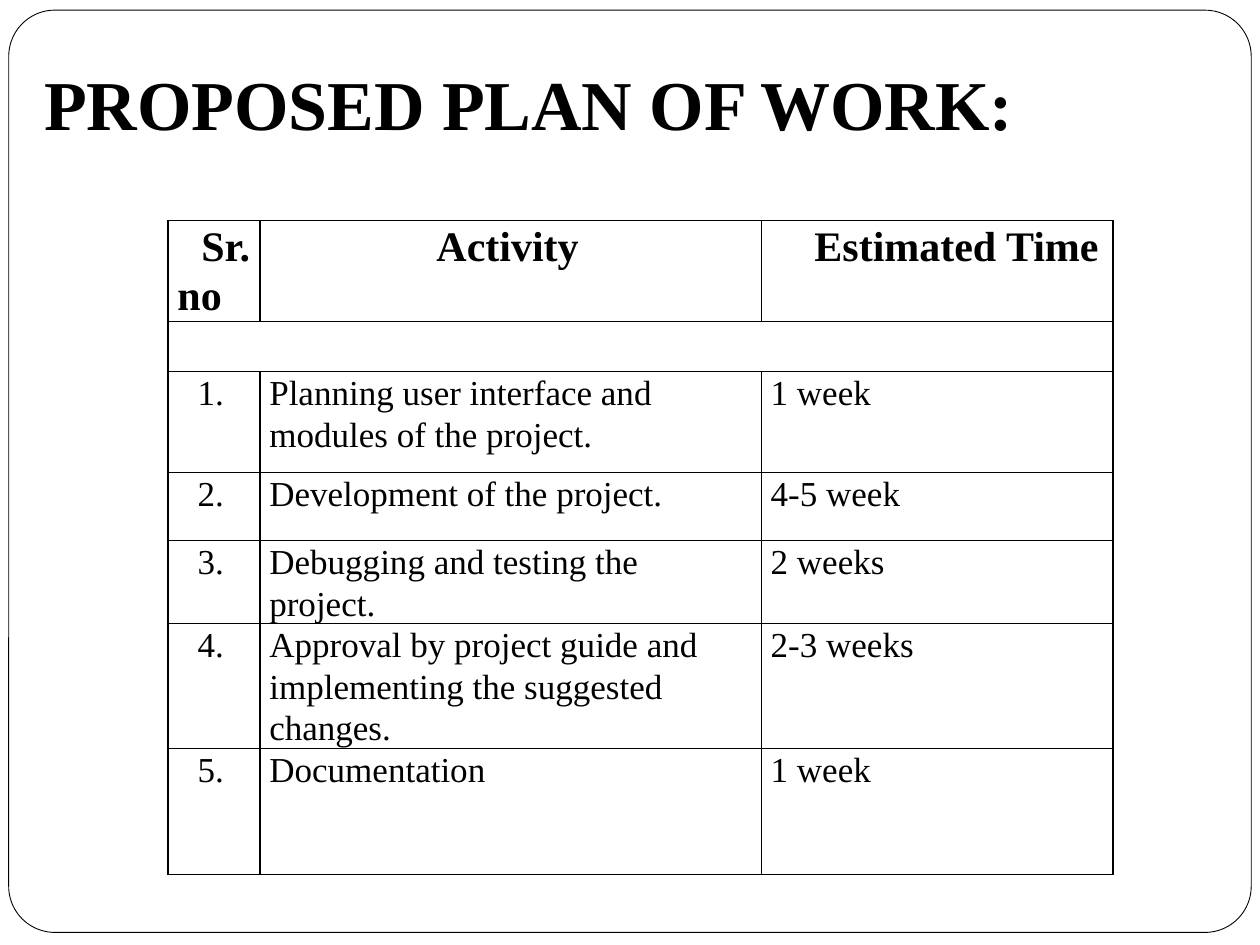
from dataclasses import dataclass

from lxml import etree
from pptx import Presentation
from pptx.dml.color import RGBColor
from pptx.enum.shapes import MSO_SHAPE
from pptx.enum.text import MSO_ANCHOR, MSO_AUTO_SIZE, PP_ALIGN
from pptx.oxml.ns import qn
from pptx.util import Pt

ROUNDED = MSO_SHAPE.ROUNDED_RECTANGLE
MIDDLE = MSO_ANCHOR.MIDDLE
NO_AUTOFIT = MSO_AUTO_SIZE.NONE
LEFT, JUSTIFY = PP_ALIGN.LEFT, PP_ALIGN.JUSTIFY

FONT = "Times New Roman"
COLORS = {"ink": "000000", "paper": "FFFFFF"}
COLUMN_WIDTHS = (52.5, 286.5, 201)
HEADER_HEIGHT, GAP_HEIGHT = 57.6, 28.8
NUMBER_INDENT = 11.5
TITLE_ONLY = 5


@dataclass
class Heading:
    text: str
    first_line: float
    align: PP_ALIGN = LEFT


@dataclass
class Task:
    activity: str
    time: str
    height: float


HEADINGS = (
    Heading("Sr. no", 13.7, JUSTIFY),
    Heading("Activity", 95.5),
    Heading("Estimated Time", 25),
)
TASKS = (
    Task("Planning user interface and modules of the project.", "1 week", 57.6),
    Task("Development of the project.", "4-5 week", 38.9),
    Task("Debugging and testing the project.", "2 weeks", 38.2),
    Task("Approval by project guide and implementing the suggested changes.",
         "2-3 weeks", 67.7),
    Task("Documentation", "1 week", 72),
)


def color(name: str) -> RGBColor:
    return RGBColor.from_string(COLORS[name])


def set_font(para, size: float, bold: bool) -> None:
    font = para.font
    font.name, font.size, font.bold = FONT, Pt(size), bold
    font.color.rgb = color("ink")


def add_panel(page) -> None:
    """Draw the rounded page frame behind everything else."""
    panel = page.shapes.add_shape(ROUNDED, Pt(5), Pt(5.8), Pt(710), Pt(527))
    panel.adjustments[0] = 0.05
    panel.shadow.inherit = False
    panel.fill.solid()
    panel.fill.fore_color.rgb = color("paper")
    panel.line.color.rgb = color("ink")
    panel.line.width = Pt(0.5)
    page.shapes._spTree.insert(2, panel._element)


def set_title(page, text: str) -> None:
    title = page.shapes.title
    title.left, title.top, title.width, title.height = Pt(18), Pt(30.2), Pt(666), Pt(77.8)
    frame = title.text_frame
    frame.text = text
    frame.word_wrap = True
    frame.auto_size = NO_AUTOFIT
    frame.vertical_anchor = MIDDLE
    frame.margin_bottom = Pt(24.6)
    para = frame.paragraphs[0]
    para.alignment = LEFT
    set_font(para, 40, True)


def style_cell(cell) -> None:
    """Give a cell its insets, black borders and no fill."""
    cell.margin_left = cell.margin_right = Pt(5.4)
    cell.margin_top = cell.margin_bottom = 0
    properties = cell._tc.get_or_add_tcPr()
    for side in ("lnL", "lnR", "lnT", "lnB"):
        border = etree.SubElement(properties, qn(f"a:{side}"), w=str(Pt(1)))
        fill = etree.SubElement(border, qn("a:solidFill"))
        etree.SubElement(fill, qn("a:srgbClr"), val=COLORS["ink"])
    cell.fill.background()


def write_cell(cell, text: str, size: float = 20, bold: bool = False,
               align: PP_ALIGN = LEFT, left: float = 0, first_line: float = 0) -> None:
    cell.text = text
    para = cell.text_frame.paragraphs[0]
    para.alignment = align
    para.line_spacing = 1.07
    para.space_after = Pt(8)
    set_font(para, size, bold)
    properties = para._p.get_or_add_pPr()
    properties.set("marL", str(Pt(left)))
    properties.set("indent", str(Pt(first_line)))


def add_plan(page) -> None:
    heights = [HEADER_HEIGHT, GAP_HEIGHT] + [task.height for task in TASKS]
    table = page.shapes.add_table(
        len(heights), len(COLUMN_WIDTHS), Pt(96), Pt(126),
        Pt(sum(COLUMN_WIDTHS)), Pt(sum(heights))).table
    table.first_row = table.horz_banding = False
    for column, width in zip(table.columns, COLUMN_WIDTHS):
        column.width = Pt(width)
    for row, height in zip(table.rows, heights):
        row.height = Pt(height)
    for cell in table.iter_cells():
        style_cell(cell)
    table.cell(1, 0).merge(table.cell(1, len(COLUMN_WIDTHS) - 1))

    for column, heading in enumerate(HEADINGS):
        write_cell(table.cell(0, column), heading.text, 24, True,
                   heading.align, first_line=heading.first_line)
    for number, task in enumerate(TASKS, start=1):
        row = number + 1
        write_cell(table.cell(row, 0), f"{number}.", align=JUSTIFY, left=NUMBER_INDENT)
        write_cell(table.cell(row, 1), task.activity)
        write_cell(table.cell(row, 2), task.time)


def main() -> None:
    deck = Presentation()
    deck.slide_width, deck.slide_height = Pt(720), Pt(540)
    page = deck.slides.add_slide(deck.slide_layouts[TITLE_ONLY])
    add_panel(page)
    set_title(page, "PROPOSED PLAN OF WORK:")
    add_plan(page)
    deck.save("out.pptx")


if __name__ == "__main__":
    main()
